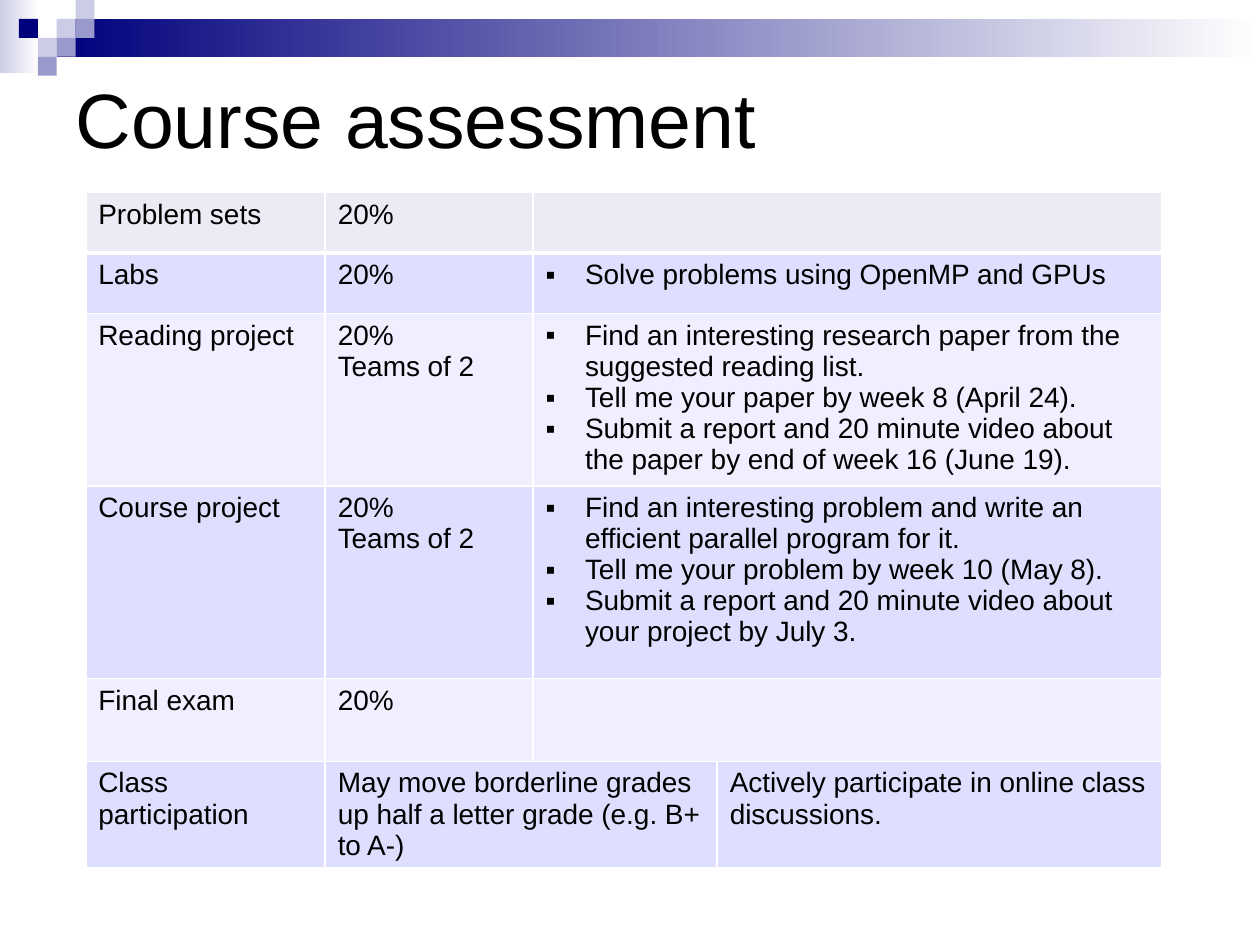
from dataclasses import dataclass
from typing import Optional

from lxml import etree
from pptx import Presentation
from pptx import util as u
from pptx.dml.color import RGBColor
from pptx.enum import shapes, text
from pptx.oxml import ns


@dataclass(frozen=True)
class Theme:
    font: str = "Arial"
    title_size: float = 44
    body_size: float = 16
    ink: str = "000000"
    white: str = "FFFFFF"
    navy: str = "00007D"
    violet: str = "9999CC"
    lilac: str = "CCCCE6"
    header_fill: str = "EBEBF5"
    band_fills: tuple[str, str] = ("EFEFFF", "DEDEFF")
    thin_line: float = 1
    thick_line: float = 3


@dataclass(frozen=True)
class Bar:
    left: float
    top: float
    width: float
    height: float
    color: str
    fade_to: Optional[str] = None


@dataclass(frozen=True)
class Entry:
    """One table cell: its first column, columns covered, and lines."""
    column: int
    columns: int = 1
    lines: tuple[str, ...] = ()
    bulleted: bool = False


@dataclass(frozen=True)
class Row:
    height: float
    entries: tuple[Entry, ...]


THEME = Theme()
SQUARE = 10.8
BULLET_INDENT = 22.5
COLUMN_WIDTHS = (136.8, 118.8, 105.2, 254.2)

BARS = (
    Bar(0, 0, 22.3, 41.8, THEME.lilac, THEME.white),
    Bar(32.4, SQUARE, 687.6, 21.6, THEME.navy, THEME.white),
)
# Column and row of each square on the corner grid
SQUARES = (
    (3, 1, THEME.lilac), (4, 0, THEME.lilac), (4, 1, THEME.violet),
    (2, 2, THEME.lilac), (1, 1, THEME.navy), (3, 2, THEME.violet),
    (2, 3, THEME.violet),
)


def graded_row(height: float, name: str, share: tuple[str, ...],
               details: tuple[str, ...] = ()) -> Row:
    return Row(height, (Entry(0, 1, (name,)), Entry(1, 1, share),
                        Entry(2, 2, details, bulleted=True)))


ROWS = (
    graded_row(34.6, "Problem sets", ("20%",)),
    graded_row(34.6, "Labs", ("20%",), ("Solve problems using OpenMP and GPUs",)),
    graded_row(98.5, "Reading project", ("20%", "Teams of 2"), (
        "Find an interesting research paper from the suggested reading list.",
        "Tell me your paper by week 8 (April 24).",
        "Submit a report and 20 minute video about the paper by end of week 16 (June 19).",
    )),
    graded_row(110.2, "Course project", ("20%", "Teams of 2"), (
        "Find an interesting problem and write an efficient parallel program for it.",
        "Tell me your problem by week 10 (May 8).",
        "Submit a report and 20 minute video about your project by July 3.",
    )),
    graded_row(47.3, "Final exam", ("20%",)),
    Row(60.2, (
        Entry(0, 1, ("Class participation",)),
        Entry(1, 2, ("May move borderline grades up half a letter grade (e.g. B+ to A-)",)),
        Entry(3, 1, ("Actively participate in online class discussions.",)),
    )),
)


def rgb(color: str) -> RGBColor:
    return RGBColor.from_string(color)


def format_runs(para, size: float) -> None:
    for span in para.runs:
        span.font.name = THEME.font
        span.font.size = u.Pt(size)
        span.font.color.rgb = rgb(THEME.ink)


def draw_bar(page, bar: Bar) -> None:
    box = page.shapes.add_shape(
        shapes.MSO_SHAPE.RECTANGLE, u.Pt(bar.left), u.Pt(bar.top),
        u.Pt(bar.width), u.Pt(bar.height))
    box.shadow.inherit = False
    box.line.fill.background()
    if bar.fade_to is None:
        box.fill.solid()
        box.fill.fore_color.rgb = rgb(bar.color)
        return
    box.fill.gradient()
    box.fill.gradient_angle = 0
    for stop, color in zip(box.fill.gradient_stops, (bar.color, bar.fade_to)):
        stop.color.rgb = rgb(color)


def draw_title(page, wording: str) -> None:
    title = page.shapes.title
    title.left, title.top = u.Pt(36), u.Pt(36)
    title.width, title.height = u.Pt(648), u.Pt(62)
    frame = title.text_frame
    frame.text = wording
    frame.vertical_anchor = text.MSO_ANCHOR.MIDDLE
    frame.auto_size = text.MSO_AUTO_SIZE.NONE
    frame.paragraphs[0].alignment = text.PP_ALIGN.LEFT
    format_runs(frame.paragraphs[0], THEME.title_size)


def add_bullet(para) -> None:
    properties = para._p.get_or_add_pPr()
    indent = u.Pt(BULLET_INDENT)
    properties.set("marL", str(indent))
    properties.set("indent", str(-indent))
    etree.SubElement(properties, ns.qn("a:buFont"), typeface=THEME.font)
    etree.SubElement(properties, ns.qn("a:buChar"), char="▪")


def paint_cell(cell, row_number: int) -> None:
    """Add the white borders, then the fill that must follow them."""
    properties = cell._tc.get_or_add_tcPr()
    thick_side = {0: "B", 1: "T"}.get(row_number)
    for side in "LRTB":
        width = THEME.thick_line if side == thick_side else THEME.thin_line
        line = etree.SubElement(properties, ns.qn(f"a:ln{side}"), w=str(u.Pt(width)))
        fill = etree.SubElement(line, ns.qn("a:solidFill"))
        etree.SubElement(fill, ns.qn("a:srgbClr"), val=THEME.white)
    cell.fill.solid()
    cell.fill.fore_color.rgb = rgb(
        THEME.band_fills[row_number % 2] if row_number else THEME.header_fill)


def write_entry(cell, entry: Entry) -> None:
    cell.text_frame.text = "\n".join(entry.lines)
    for para in cell.text_frame.paragraphs:
        if entry.bulleted and entry.lines:
            add_bullet(para)
        format_runs(para, THEME.body_size)


def draw_table(page, rows: tuple[Row, ...]) -> None:
    frame = page.shapes.add_table(
        len(rows), len(COLUMN_WIDTHS), u.Pt(49), u.Pt(110),
        u.Pt(sum(COLUMN_WIDTHS)), u.Pt(sum(row.height for row in rows)))
    table = frame.table
    table.first_row = False
    table.horz_banding = False
    for column, width in zip(table.columns, COLUMN_WIDTHS):
        column.width = u.Pt(width)
    for number, row in enumerate(rows):
        table.rows[number].height = u.Pt(row.height)
        for cell in table.rows[number].cells:
            paint_cell(cell, number)
        for entry in row.entries:
            cell = table.cell(number, entry.column)
            if entry.columns > 1:
                cell.merge(table.cell(number, entry.column + entry.columns - 1))
            write_entry(cell, entry)


def main() -> None:
    deck = Presentation()
    deck.slide_width, deck.slide_height = u.Pt(720), u.Pt(540)
    page = deck.slides.add_slide(deck.slide_layouts.get_by_name("Title Only"))
    for bar in BARS:
        draw_bar(page, bar)
    for column, row, color in SQUARES:
        draw_bar(page, Bar(column * SQUARE, row * SQUARE, SQUARE, SQUARE, color))
    draw_title(page, "Course assessment")
    draw_table(page, ROWS)
    deck.save("out.pptx")


if __name__ == "__main__":
    main()
